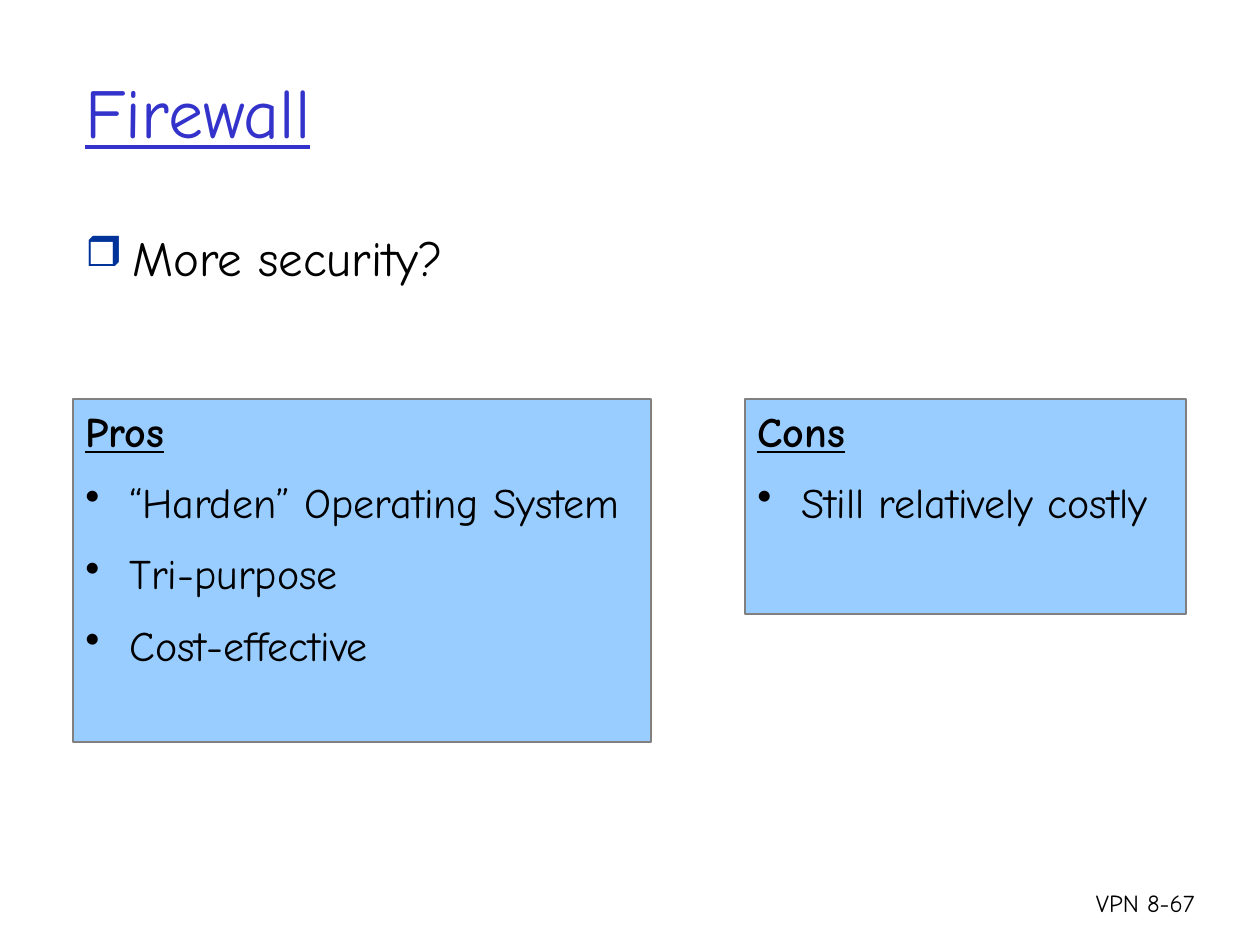
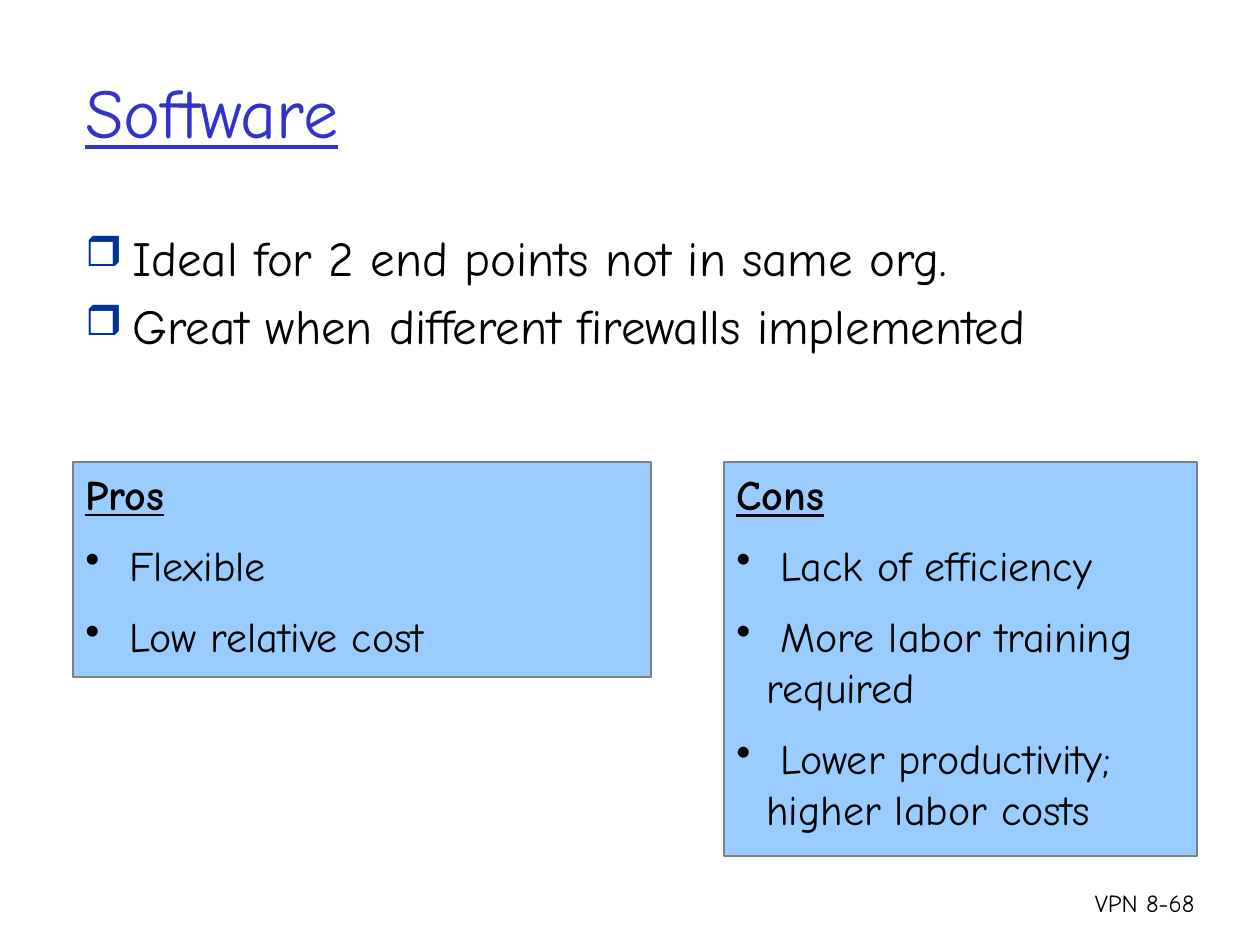
from lxml.etree import SubElement
from pptx import Presentation
from pptx.dml.color import RGBColor
from pptx.enum.shapes import MSO_SHAPE as Shape
from pptx.enum.text import MSO_ANCHOR as Anchor, PP_ALIGN as Align
from pptx.oxml.ns import qn
from pptx.util import Pt

SLIDES = [
    {
        "title": "Firewall",
        "points": ["More security?"],
        "panel_top": 399,
        "panels": [
            ("Pros", (73, 578, 343), ["“Harden” Operating System", "Tri-purpose", "Cost-effective"]),
            ("Cons", (745, 441, 215), ["Still relatively costly"]),
        ],
    },
    {
        "title": "Software",
        "points": [
            "Ideal for 2 end points not in same org.",
            "Great when different firewalls implemented",
        ],
        "panel_top": 462,
        "panels": [
            ("Pros", (73, 578, 215), ["Flexible", "Low relative cost"]),
            ("Cons", (724, 473, 394), [
                "Lack of efficiency",
                "More labor training required",
                "Lower productivity; higher labor costs",
            ]),
        ],
    },
]
FIRST_NUMBER = 67
FOOTER = "VPN 8-{}"

COLORS = {
    "title": "3333CC",
    "text": "000000",
    "marker": "003399",
    "panel": "99CCFF",
    "edge": "808080",
}
FONT = "Comic Neue"
SCALE = 914400 / 126
PAGE = (1260, 945)
TITLE_AREA = (73, 32, 1071, 157)
POINTS_AREA = (73, 221, 1071, 640)
FOOTER_AREA = (1050, 882, 157, 63)

TITLE = {"size": Pt(40), "underline": True}
POINT = {"size": Pt(28)}
HEADING = {"size": Pt(24), "bold": True, "underline": True}
ITEM = {"size": Pt(24)}
NUMBER = {"size": Pt(14)}
POINT_BULLET = {"char": "❒", "indent": 47, "color": "marker", "percent": 85}
ITEM_BULLET = {"char": "•", "indent": 30, "color": "text", "percent": 100}


def px(value):
    return round(value * SCALE)


def rgb(name):
    return RGBColor.from_string(COLORS[name])


def add_box(page, area):
    box = page.shapes.add_textbox(*map(px, area))
    box.text_frame.word_wrap = True
    return box


def add_panel(page, area):
    panel = page.shapes.add_shape(Shape.RECTANGLE, *map(px, area))
    panel.shadow.inherit = False
    panel.fill.solid()
    panel.fill.fore_color.rgb = rgb("panel")
    panel.line.color.rgb = rgb("edge")
    panel.line.width = Pt(1)
    panel.text_frame.word_wrap = True
    panel.text_frame.vertical_anchor = Anchor.TOP
    return panel


def add_bullet(para, char, indent, color, percent):
    props = para._p.get_or_add_pPr()
    props.set("marL", str(px(indent)))
    props.set("indent", str(-px(indent)))
    tint = SubElement(props, qn("a:buClr"))
    SubElement(tint, qn("a:srgbClr"), val=COLORS[color])
    SubElement(props, qn("a:buSzPct"), val=str(percent * 1000))
    SubElement(props, qn("a:buChar"), char=char)


def write(box, text, style, color="text", align=Align.LEFT, before=0, bullet=None):
    frame = box.text_frame
    para = frame.paragraphs[0]
    if para.runs:
        para = frame.add_paragraph()
    para.alignment = align
    para.space_before = Pt(before)
    if bullet:
        add_bullet(para, **bullet)
    span = para.add_run()
    span.text = text
    span.font.name = FONT
    span.font.color.rgb = rgb(color)
    for name, value in style.items():
        setattr(span.font, name, value)


def build_page(deck, content, number):
    page = deck.slides.add_slide(deck.slide_layouts[6])

    title = add_box(page, TITLE_AREA)
    title.text_frame.vertical_anchor = Anchor.MIDDLE
    write(title, content["title"], TITLE, "title")

    points = add_box(page, POINTS_AREA)
    for text in content["points"]:
        write(points, text, POINT, before=5.6, bullet=POINT_BULLET)

    for heading, (left, width, height), items in content["panels"]:
        panel = add_panel(page, (left, content["panel_top"], width, height))
        write(panel, heading, HEADING, before=12)
        for text in items:
            write(panel, f" {text}", ITEM, before=12, bullet=ITEM_BULLET)

    footer = add_box(page, FOOTER_AREA)
    write(footer, FOOTER.format(number), NUMBER, align=Align.RIGHT)


def main():
    deck = Presentation()
    deck.slide_width, deck.slide_height = map(px, PAGE)
    for number, content in enumerate(SLIDES, FIRST_NUMBER):
        build_page(deck, content, number)
    deck.save("out.pptx")


if __name__ == "__main__":
    main()
